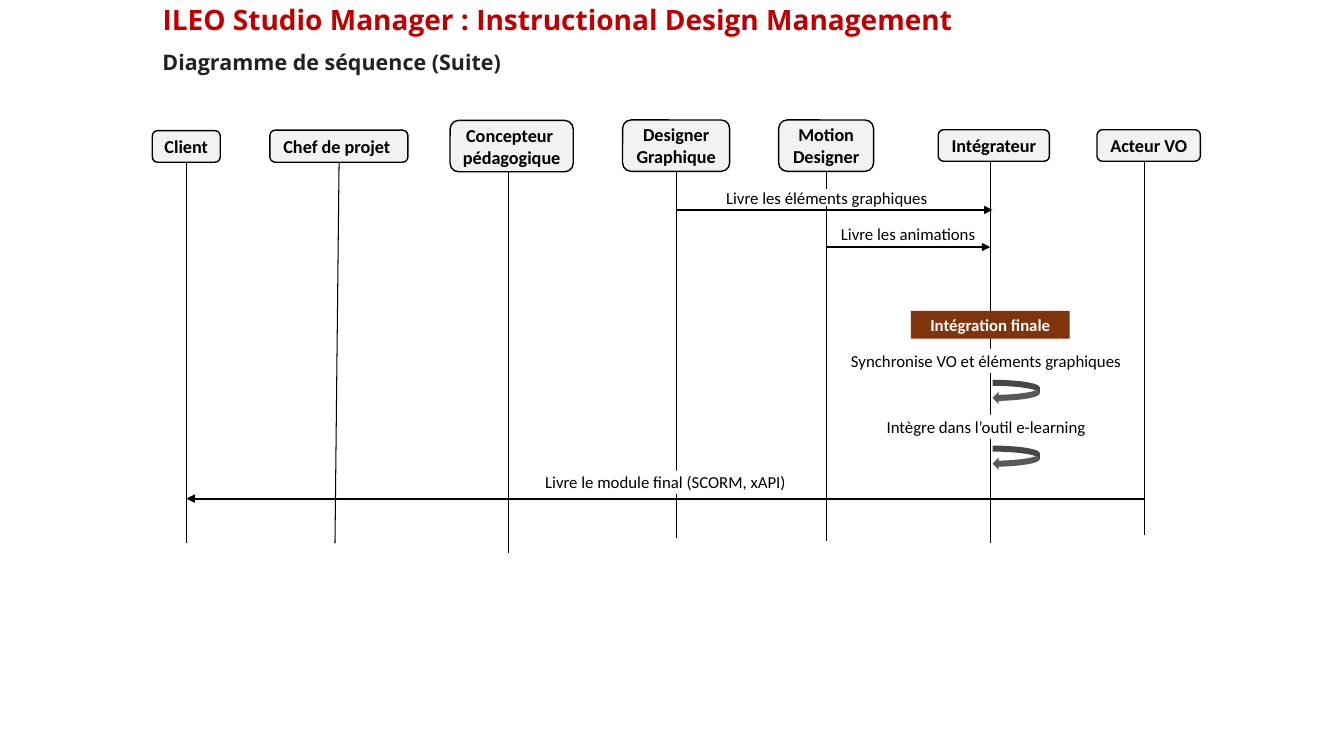
from lxml import etree
from pptx import Presentation
from pptx import util as u
from pptx.dml import color
from pptx.enum import shapes, text
from pptx.oxml import ns

rgb = color.RGBColor.from_string
KIND = shapes.MSO_SHAPE

deck = Presentation()
deck.slide_width, deck.slide_height = u.Pt(960), u.Pt(540)
slide = deck.slides.add_slide(deck.slide_layouts[6])
parts = slide.shapes


def draw_line(x1, y1, x2, y2, width, arrow=False):
    line = parts.add_connector(shapes.MSO_CONNECTOR.STRAIGHT, *map(u.Pt, (x1, y1, x2, y2)))
    line.line.width = u.Pt(width)
    line.line.fill.solid()
    line.line.fill.fore_color.rgb = rgb("000000")
    properties = line._element.spPr
    if arrow:
        etree.SubElement(properties.get_or_add_ln(), ns.qn("a:tailEnd"), type="triangle")
    etree.SubElement(properties, ns.qn("a:effectLst"))


def draw_box(kind, place, fill, wording="", size=12, ink="000000", bold=False, outline=None):
    box = parts.add_shape(kind, *map(u.Pt, place))
    box.shadow.inherit = False
    box.fill.solid()
    box.fill.fore_color.rgb = rgb(fill)
    if outline:
        box.line.color.rgb = rgb(outline)
        box.line.width = u.Pt(1)
    else:
        box.line.fill.background()
    if wording:
        box.text_frame.text = wording
        box.text_frame.word_wrap = True
        box.text_frame.vertical_anchor = text.MSO_ANCHOR.MIDDLE
        for paragraph in box.text_frame.paragraphs:
            paragraph.alignment = text.PP_ALIGN.CENTER
            look = {"name": "Calibri", "size": u.Pt(size), "bold": bold}
            for field, value in look.items():
                setattr(paragraph.font, field, value)
            paragraph.font.color.rgb = rgb(ink)


headings = [
    ("ILEO Studio Manager : Instructional Design Management", 2.2, 600, 20, "C00000", 0.9),
    ("Diagramme de séquence (Suite)", 32.4, 275.8, 15.3, "222020", 0.8),
]
for wording, top, width, size, ink, spacing in headings:
    heading = parts.add_textbox(*map(u.Pt, (109, top, width, 26.6))).text_frame
    heading.word_wrap = True
    heading.vertical_anchor = text.MSO_ANCHOR.MIDDLE
    heading.text = wording
    paragraph = heading.paragraphs[0]
    paragraph.line_spacing = spacing
    for field, value in {"name": "Open Sans", "size": u.Pt(size), "bold": True}.items():
        setattr(paragraph.font, field, value)
    paragraph.font.color.rgb = rgb(ink)

lifeline_length = 272.2
actors = [
    ("Client ", (108.8, 93.3, 48.5, 22.6), 133.5, 133.5, 116),
    ("Chef de projet ", (192.8, 93, 98.6, 22.9), 242.2, 239.3, 116),
    ("Concepteur \npédagogique", (321.5, 86, 88, 36.7), 363.4, 363.4, 123),
    ("Designer Graphique", (444.7, 85.7, 76.5, 36.7), 483.2, 483.2, 112.3),
    ("Motion Designer", (556.2, 85.7, 67.8, 36.7), 590.4, 590.4, 114),
    ("Intégrateur", (670.2, 92.7, 79.4, 22.5), 707.4, 707.4, 115.4),
    ("Acteur VO", (783.6, 92.7, 73.8, 22.5), 817.3, 817.3, 110),
]
for _, _, x_top, x_foot, y_top in actors:
    draw_line(x_top, y_top, x_foot, y_top + lifeline_length, 0.75)
for role, place, *_ in actors:
    draw_box(KIND.ROUNDED_RECTANGLE, place, "F2F2F2", role, 13, bold=True, outline="000000")

messages = [
    ("Livre les éléments graphiques", (511, 135.1, 159.1, 12.2), 483.5, 709, 150),
    ("Livre les animations", (592.2, 164.6, 113, 5), 590.4, 707.4, 176.5),
    ("Livre le module final (SCORM, xAPI)", (379.7, 336.2, 191.5, 16.6), 817.9, 133.2, 356.2),
]
for message, place, x_from, x_to, y in messages:
    draw_line(x_from, y, x_to, y, 1.5, arrow=True)
    draw_box(KIND.RECTANGLE, place, "FFFFFF", message)

draw_box(KIND.RECTANGLE, (650.7, 222.1, 113.3, 19.8), "7F340D", "Intégration finale",
         ink="FFFFFF", bold=True)

tasks = ["Synchronise VO et éléments graphiques", "Intègre dans l’outil e-learning"]
for row, task in enumerate(tasks):
    top = 249.1 + row * 47
    draw_box(KIND.RECTANGLE, (599.6, top, 209.5, 17.3), "FFFFFF", task)
    draw_box(KIND.CURVED_LEFT_ARROW, (709, top + 22.2, 33.8, 17.3), "595959")

deck.save("out.pptx")
